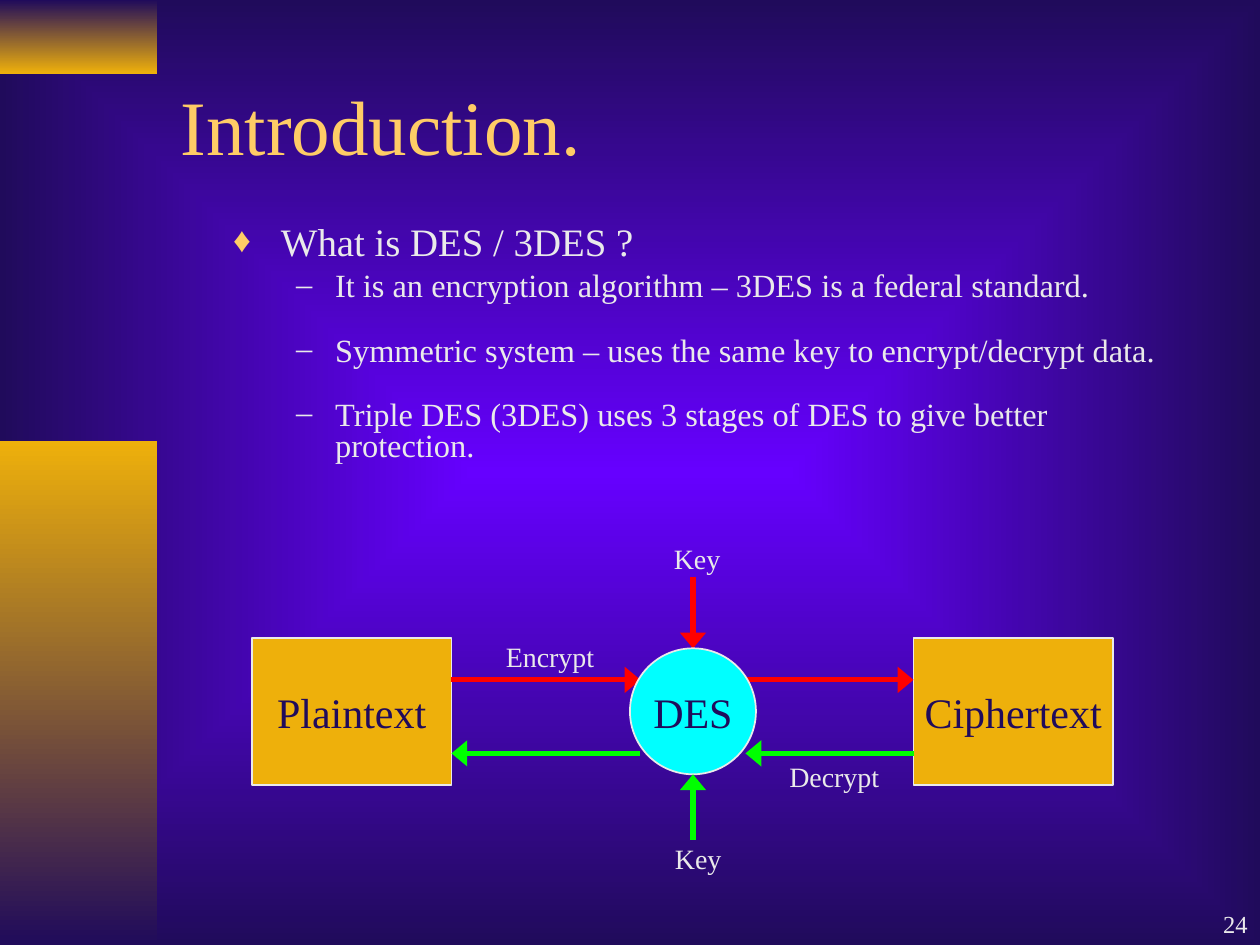
import dataclasses

import pptx
import pptx.dml.color
import pptx.enum.shapes
import pptx.enum.text
import pptx.oxml
import pptx.oxml.ns
import pptx.util

SHAPE = pptx.enum.shapes.MSO_SHAPE
ALIGN = pptx.enum.text.PP_ALIGN
ANCHOR = pptx.enum.text.MSO_ANCHOR
CELL = pptx.util.Inches(1 / 12)


@dataclasses.dataclass(frozen=True)
class Theme:
    """Colours, font and type sizes of the slide."""
    font: str = "Times New Roman"
    violet: str = "6600FF"
    navy: str = "200B5B"
    gold: str = "EEB00B"
    accent: str = "FFCC66"
    text: str = "EAEAEA"
    cyan: str = "00FFFF"
    encrypt: str = "FF0000"
    decrypt: str = "00FF00"
    title: float = 44
    topic: float = 22.2
    point: float = 18.5
    node: float = 24
    label: float = 16
    number: float = 14


THEME = Theme()


def rgb(value):
    """Return a colour object for a hex string."""
    return pptx.dml.color.RGBColor.from_string(value)


def place(sp, box):
    """Set a shape's box, given in grid columns and rows."""
    sp.left, sp.top, sp.width, sp.height = (int(v * CELL) for v in box)


def style(p, size, color, align=ALIGN.LEFT):
    """Format a whole paragraph."""
    p.font.name = THEME.font
    p.font.size = pptx.util.Pt(size)
    p.font.color.rgb = rgb(color)
    p.alignment = align


def add_element(parent, xml):
    """Append a drawing element to a parent and return it."""
    el = pptx.oxml.parse_xml(xml.replace(" ", f' {pptx.oxml.ns.nsdecls("a")} ', 1))
    parent.append(el)
    return el


def gradient(fill, first, last):
    """Give a fill a two-colour gradient that runs downwards."""
    fill.gradient()
    for stop, color in zip(fill.gradient_stops, (first, last)):
        stop.color.rgb = rgb(color)
    fill.gradient_angle = 270


def add_preset(slide, kind, box):
    """Add a preset shape without a shadow."""
    sp = slide.shapes.add_shape(kind, *(int(v * CELL) for v in box))
    sp.shadow.inherit = False
    return sp


def add_backdrop(slide):
    """Fill the background from its centre and add the two side bands."""
    gradient(slide.background.fill, THEME.violet, THEME.navy)
    lin = slide.element.find(".//" + pptx.oxml.ns.qn("a:lin"))
    add_element(lin.getparent(),
                '<a:path path="rect"><a:fillToRect l="50000" t="50000" r="50000" b="50000"/></a:path>')
    lin.getparent().remove(lin)
    for box, colors in (((0, 0, 15, 7), (THEME.navy, THEME.gold)),
                        ((0, 42, 15, 48), (THEME.gold, THEME.navy))):
        sp = add_preset(slide, SHAPE.RECTANGLE, box)
        gradient(sp.fill, *colors)
        sp.line.fill.background()


def add_title(slide, box, text):
    """Fill the title placeholder."""
    sp = slide.shapes.title
    place(sp, box)
    tf = sp.text_frame
    tf.text = text
    tf.vertical_anchor = ANCHOR.MIDDLE
    style(tf.paragraphs[0], THEME.title, THEME.accent)


def set_bullet(p, char, color, scale, left, hang):
    """Give a paragraph a bullet and a hanging indent in inches."""
    pPr = p._p.get_or_add_pPr()
    pPr.set("marL", str(pptx.util.Inches(left)))
    pPr.set("indent", str(-pptx.util.Inches(hang)))
    font = pPr.find(pptx.oxml.ns.qn("a:defRPr"))
    for xml in (f'<a:buClr ><a:srgbClr val="{color}"/></a:buClr>',
                f'<a:buSzPct val="{scale * 1000}"/>',
                f'<a:buFont typeface="{THEME.font}"/>',
                f'<a:buChar char="{char}"/>'):
        font.addprevious(add_element(pPr, xml))


def add_body(slide, box, topic, points):
    """Fill the body placeholder with a topic and its points."""
    sp = slide.placeholders[1]
    place(sp, box)
    tf = sp.text_frame
    tf.auto_size = pptx.enum.text.MSO_AUTO_SIZE.NONE
    for i, text in enumerate([topic, *points]):
        p = tf.add_paragraph() if i else tf.paragraphs[0]
        p.text = text
        p.level = min(i, 1)
        p.line_spacing = 0.8
        p.space_before = pptx.util.Pt((6, 5)[i] if i < 2 else 19)
        style(p, THEME.point if i else THEME.topic, THEME.text)
        if i:
            set_bullet(p, "–", THEME.text, 100, 0.81, 0.31)
        else:
            set_bullet(p, "♦", THEME.accent, 90, 0.38, 0.38)


def add_node(slide, kind, box, text, color):
    """Add a filled node of the diagram."""
    sp = add_preset(slide, kind, box)
    sp.fill.solid()
    sp.fill.fore_color.rgb = rgb(color)
    sp.line.color.rgb = rgb(THEME.text)
    sp.line.width = pptx.util.Pt(1)
    tf = sp.text_frame
    tf.word_wrap = False
    tf.text = text
    tf.vertical_anchor = ANCHOR.MIDDLE
    style(tf.paragraphs[0], THEME.node, THEME.navy, ALIGN.CENTER)


def add_arrow(slide, ends, color):
    """Add an arrow between two grid points."""
    cxn = slide.shapes.add_connector(pptx.enum.shapes.MSO_CONNECTOR.STRAIGHT,
                                     *(int(v * CELL) for v in ends))
    cxn.line.color.rgb = rgb(color)
    cxn.line.width = pptx.util.Pt(3)
    add_element(cxn.line._get_or_add_ln(), '<a:tailEnd type="triangle" w="lg"/>')
    add_element(cxn._element.spPr, "<a:effectLst />")


def add_label(slide, box, text, size=THEME.label, align=ALIGN.LEFT, anchor=ANCHOR.TOP):
    """Add a single line of free text."""
    sp = slide.shapes.add_textbox(*(int(v * CELL) for v in box))
    tf = sp.text_frame
    tf.word_wrap = True
    tf.text = text
    tf.vertical_anchor = anchor
    style(tf.paragraphs[0], size, THEME.text, align)


def add_diagram(slide, box):
    """Draw the encryption and decryption flow inside a box."""
    x, y, width, height = box
    node_w, node_h, node_y = 19, 14, y + 9.75
    circle = 12
    mid, circle_y = x + 42, node_y + 1
    right = x + width - node_w
    out_y, back_y = node_y + 4, node_y + 11
    for left, text in ((x, "Plaintext"), (right, "Ciphertext")):
        add_node(slide, SHAPE.RECTANGLE, (left, node_y, node_w, node_h), text, THEME.gold)
    for ends in ((x + node_w, out_y, mid - 5, out_y),
                 (mid + 5, out_y, right, out_y),
                 (mid, y + 4, mid, circle_y)):
        add_arrow(slide, ends, THEME.encrypt)
    add_node(slide, SHAPE.OVAL, (mid - circle / 2, circle_y, circle, circle), "DES", THEME.cyan)
    for ends in ((right, back_y, mid + 5, back_y),
                 (mid - 5, back_y, x + node_w, back_y),
                 (mid, y + 29, mid, circle_y + circle)):
        add_arrow(slide, ends, THEME.decrypt)
    label_h = 4.4
    for left, top, label_w, text in ((mid - 3, y, 7.5, "Key"),
                                     (mid - 2.9, y + height - label_h, 7.5, "Key"),
                                     (x + 23, y + 9.3, 12, "Encrypt"),
                                     (mid + 8, back_y, 12, "Decrypt")):
        add_label(slide, (left, top, label_w, label_h), text)


def main():
    """Build and save the slide."""
    prs = pptx.Presentation()
    prs.slide_width, prs.slide_height = 120 * CELL, 90 * CELL
    slide = prs.slides.add_slide(prs.slide_layouts[1])
    add_backdrop(slide)
    add_title(slide, (16, 4, 102, 15.8), "Introduction.")
    add_body(slide, (21, 21, 92.3, 32), "What is DES / 3DES ?", [
        "It is an encryption algorithm – 3DES is a federal standard.",
        "Symmetric system – uses the same key to encrypt/decrypt data.",
        "Triple DES (3DES) uses 3 stages of DES to give better protection."])
    add_diagram(slide, (24, 51, 82, 33))
    add_label(slide, (95, 84, 25, 6), "24", THEME.number, ALIGN.RIGHT, ANCHOR.BOTTOM)
    prs.save("out.pptx")


if __name__ == "__main__":
    main()
